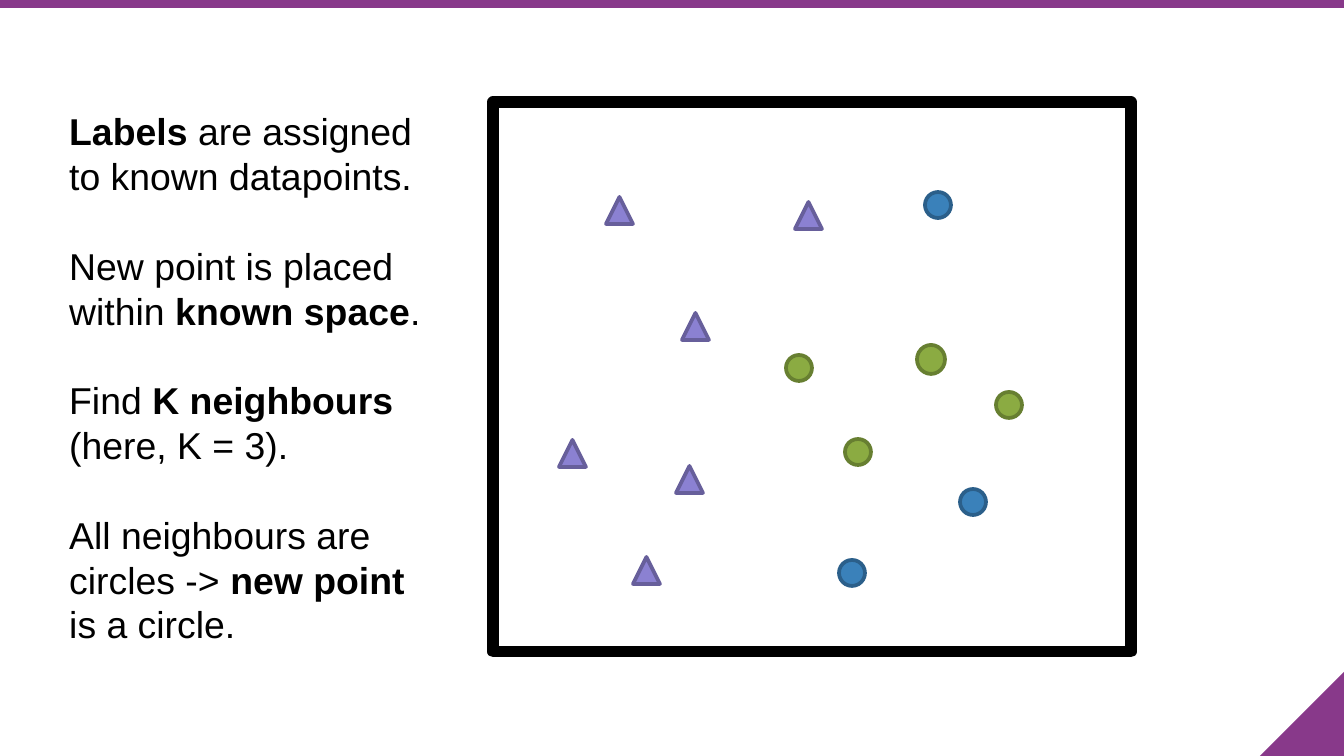
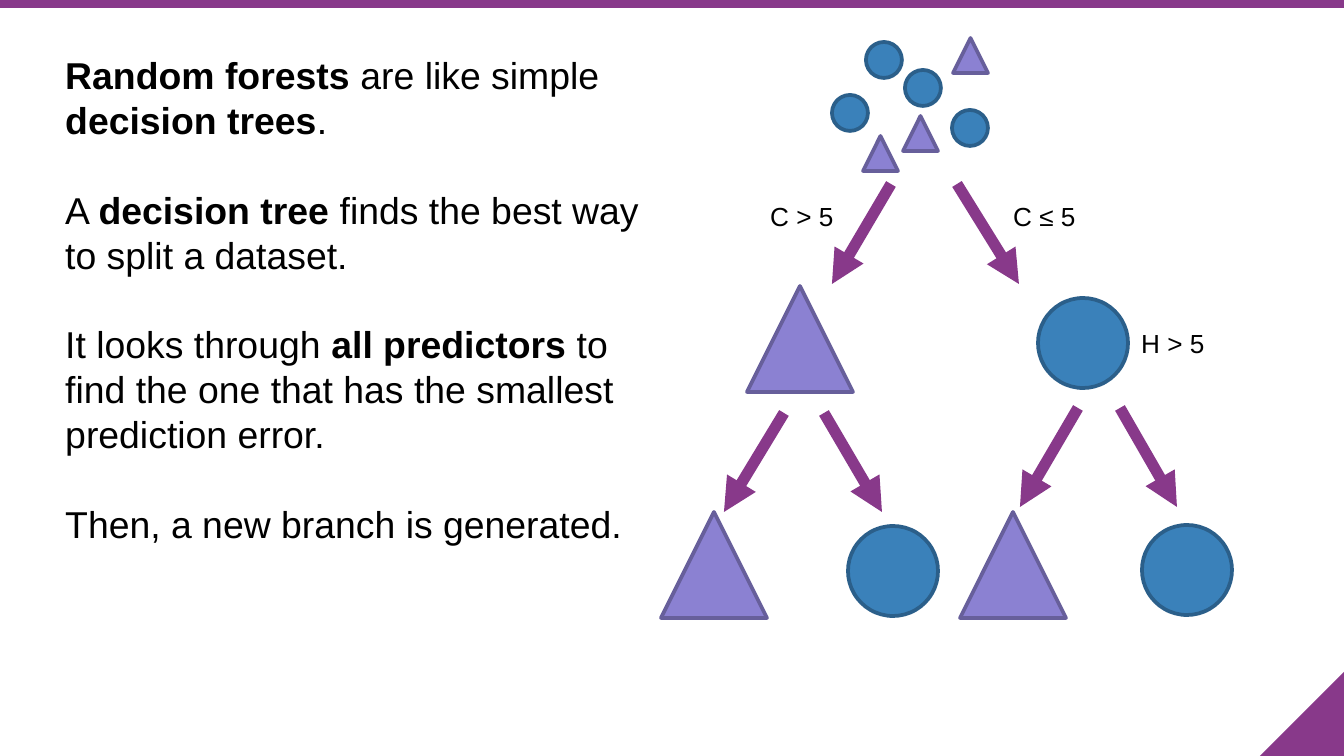
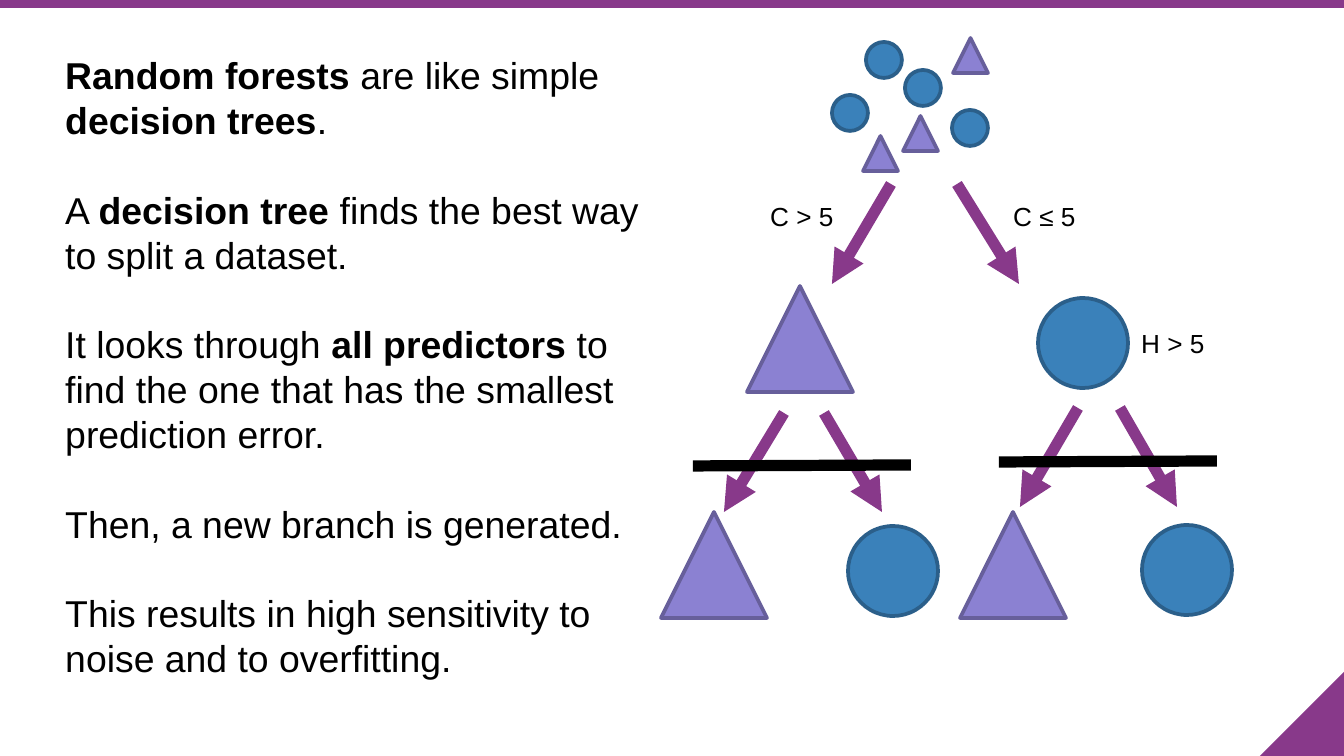
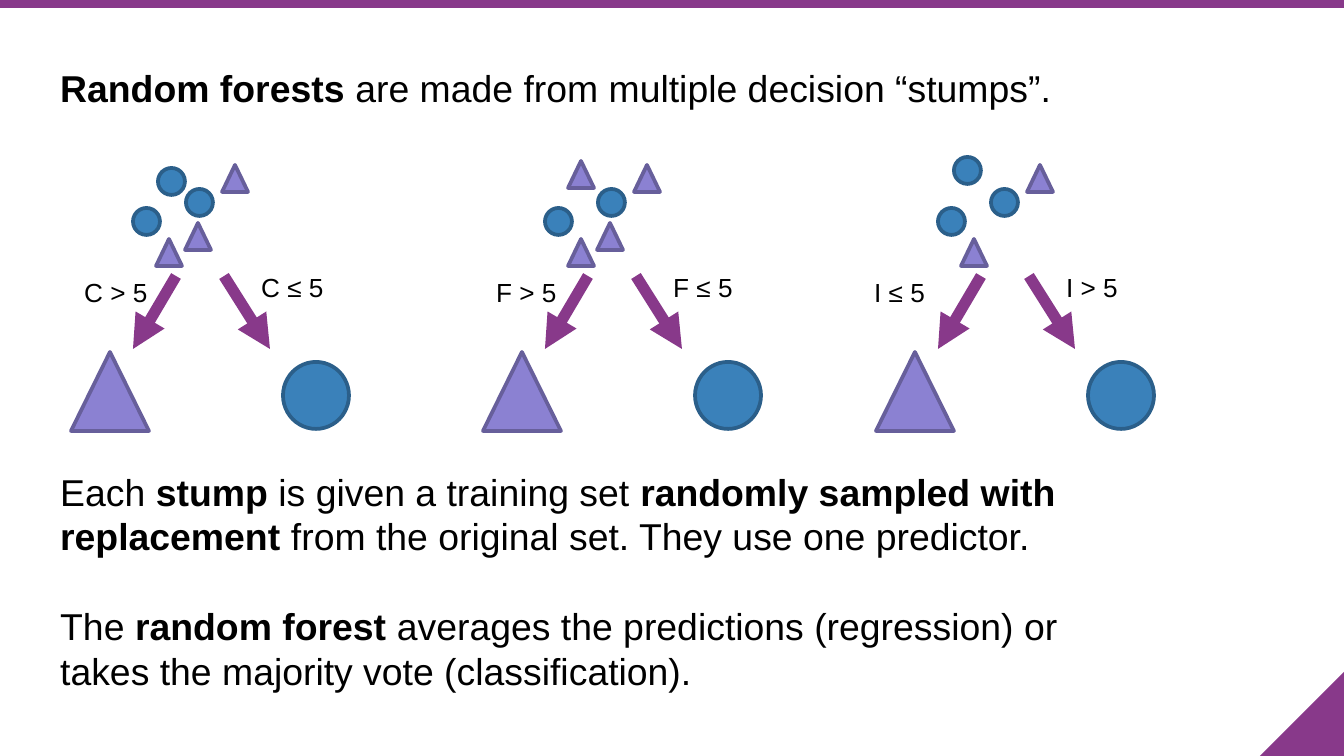
import lxml.etree
import pptx
import pptx.dml.color
import pptx.enum.shapes
import pptx.enum.text
import pptx.oxml.ns
import pptx.util

COLOURS = {
    "purple": "88398A", "black": "000000", "white": "FFFFFF",
    "violet": "8B81D2", "violet edge": "675F9B",
    "blue": "3A81BA", "blue edge": "2B5F8A",
    "green": "8BAB42", "green edge": "677F31",
}
PRESETS = pptx.enum.shapes.MSO_SHAPE
WIDTH, HEIGHT = 1344, 756
CORNER = 84
LINE_PITCH = 24

TREE_TEXT = [
    "**Random forests **are like simple **decision trees**.",
    "A **decision tree **finds the best way to split a dataset.",
    "It looks through **all predictors **to find the one that has the smallest prediction error.",
    "Then, a new branch is generated.",
]


def px(length):
    return round(length * 914400 / 134.4)


def colour(name):
    return pptx.dml.color.RGBColor.from_string(COLOURS[name])


class Deck:
    """Holds the shared style and the current slide."""

    def __init__(self):
        self.file = pptx.Presentation()
        self.file.slide_width, self.file.slide_height = px(WIDTH), px(HEIGHT)
        self.slide = None

    def start_slide(self):
        self.slide = self.file.slides.add_slide(self.file.slide_layouts[6])
        corner = self.shape(PRESETS.RIGHT_TRIANGLE, WIDTH - CORNER, HEIGHT - CORNER,
                            CORNER, CORNER, "purple")
        corner.element.spPr.xfrm.set("flipH", "1")
        self.shape(PRESETS.RECTANGLE, 0, 0, WIDTH, 8, "purple")

    def shape(self, preset, left, top, width, height, fill, edge=None, weight=2):
        shape = self.slide.shapes.add_shape(preset, *map(px, (left, top, width, height)))
        shape.shadow.inherit = False
        shape.fill.solid()
        shape.fill.fore_color.rgb = colour(fill)
        if edge:
            shape.line.color.rgb = colour(edge)
            shape.line.width = pptx.util.Pt(weight)
        else:
            shape.line.fill.background()
        return shape

    def triangles(self, places, width, height=None):
        for left, top in places:
            self.shape(PRESETS.ISOSCELES_TRIANGLE, left, top, width, height or width,
                       "violet", "violet edge")

    def circles(self, places, width, height=None, fill="blue"):
        for left, top in places:
            self.shape(PRESETS.OVAL, left, top, width, height or width, fill, f"{fill} edge")

    def line(self, start, end, stroke="purple", arrow=True):
        line = self.slide.shapes.add_connector(
            pptx.enum.shapes.MSO_CONNECTOR.STRAIGHT, *map(px, (*start, *end)))
        line.line.color.rgb = colour(stroke)
        line.line.width = pptx.util.Pt(6)
        qn = pptx.oxml.ns.qn
        if arrow:
            lxml.etree.SubElement(line.line._get_or_add_ln(), qn("a:tailEnd"), type="triangle")
        lxml.etree.SubElement(line._element.spPr, qn("a:effectLst"))

    def text(self, left, top, width, height, paragraphs, size=20, gaps=None):
        box = self.slide.shapes.add_textbox(*map(px, (left, top, width, height)))
        frame = box.text_frame
        frame.word_wrap = True
        frame.auto_size = pptx.enum.text.MSO_AUTO_SIZE.SHAPE_TO_FIT_TEXT
        gaps = gaps or [1] * (len(paragraphs) - 1)
        for index, (content, gap) in enumerate(zip(paragraphs, [*gaps, 0])):
            paragraph = frame.add_paragraph() if index else frame.paragraphs[0]
            if size == 20:
                paragraph.line_spacing = pptx.util.Pt(LINE_PITCH)
            paragraph.space_after = pptx.util.Pt(LINE_PITCH * gap)
            for part, words in enumerate(content.split("**")):
                if words:
                    run = paragraph.add_run()
                    run.text = words
                    font_format = {"name": "Arial", "size": pptx.util.Pt(size),
                                   "bold": part % 2 == 1}
                    for key, value in font_format.items():
                        setattr(run.font, key, value)
                    run.font.color.rgb = colour("black")

    def label(self, left, top, words, width=218):
        self.text(left, top, width, 46, [words], size=14)


def neighbours_slide(deck):
    deck.start_slide()
    deck.shape(PRESETS.RECTANGLE, 493, 102, 638, 550, "white", "black", 6)
    deck.triangles([(606, 197), (795, 202), (682, 313), (559, 440), (676, 466), (633, 557)], 27)
    deck.circles([(839, 560), (960, 489), (925, 192)], 26)
    deck.circles([(996, 392), (786, 355), (845, 439)], 26, fill="green")
    deck.text(56, 102, 397, 692, [
        "**Labels** are assigned to known datapoints.",
        "New point is placed within **known space**.",
        "Find **K neighbours **(here, K = 3).",
        "All neighbours are circles -> **new point **is a circle.",
    ])
    deck.circles([(917, 345)], 28, 29, fill="green")


def tree_slide(deck, conclusion=(), cuts=()):
    deck.start_slide()
    deck.text(52, 46, 617, 742 + 90 * len(conclusion), [*TREE_TEXT, *conclusion])
    deck.circles([(1038, 298), (848, 526), (1142, 525)], 90)
    deck.triangles([(747, 286), (661, 512), (960, 512)], 106)
    branches = [
        ((957, 184), (1019, 284)), ((891, 184), (832, 284)),
        ((784, 413), (724, 512)), ((824, 413), (882, 512)),
        ((1078, 408), (1020, 507)), ((1120, 408), (1177, 507)),
    ]
    for start, end in branches:
        deck.line(start, end)
    deck.label(757, 194, "C > 5")
    deck.label(1000, 194, "C ≤ 5")
    deck.label(1128, 321, "H > 5")
    deck.triangles([(863, 136), (903, 116), (953, 38)], 35)
    deck.circles([(952, 110), (832, 95), (866, 42), (905, 70)], 36)
    for start, end in cuts:
        deck.line(start, end, "black", arrow=False)


def stump(deck, left, left_rule, right_rule, extra_triangles, extra_circles, rule_shift=0):
    def placed(offsets):
        return [(left + x, y) for x, y in offsets]

    deck.circles(placed([(212, 362)]), 66, 67)
    deck.triangles(placed([(0, 352)]), 78, 79)
    for start, end in [((153, 276), (199, 349)), ((105, 276), (62, 349))]:
        deck.line(*placed([start, end]))
    deck.label(left + rule_shift, 270, left_rule, 159)
    deck.label(left + 177, 265, right_rule, 159)
    deck.triangles(placed([(85, 239), (151, 165), *extra_triangles]), 26, 27)
    deck.circles(placed([(62, 208), (115, 189), *extra_circles]), 27)


def forest_slide(deck):
    deck.start_slide()
    deck.text(47, 59, 1066, 832, [
        "**Random forests **are made from multiple decision “stumps”.",
        "Each **stump **is given a training set **randomly sampled with replacement **"
        "from the original set. They use one predictor.",
        "The **random forest **averages the predictions (regression) or takes "
        "the majority vote (classification).",
    ], gaps=[8, 1])
    stump(deck, 71, "C > 5", "C ≤ 5", [(114, 223)], [(87, 168)])
    stump(deck, 483, "F > 5", "F ≤ 5", [(114, 223), (85, 161)], [])
    stump(deck, 876, "I ≤ 5", "I > 5", [], [(78, 157)], rule_shift=-15)


def main():
    deck = Deck()
    neighbours_slide(deck)
    tree_slide(deck)
    tree_slide(deck, ["This results in high sensitivity to noise and to overfitting."],
               [((693, 466), (911, 465)), ((999, 462), (1217, 461))])
    forest_slide(deck)
    deck.file.save("out.pptx")


if __name__ == "__main__":
    main()
